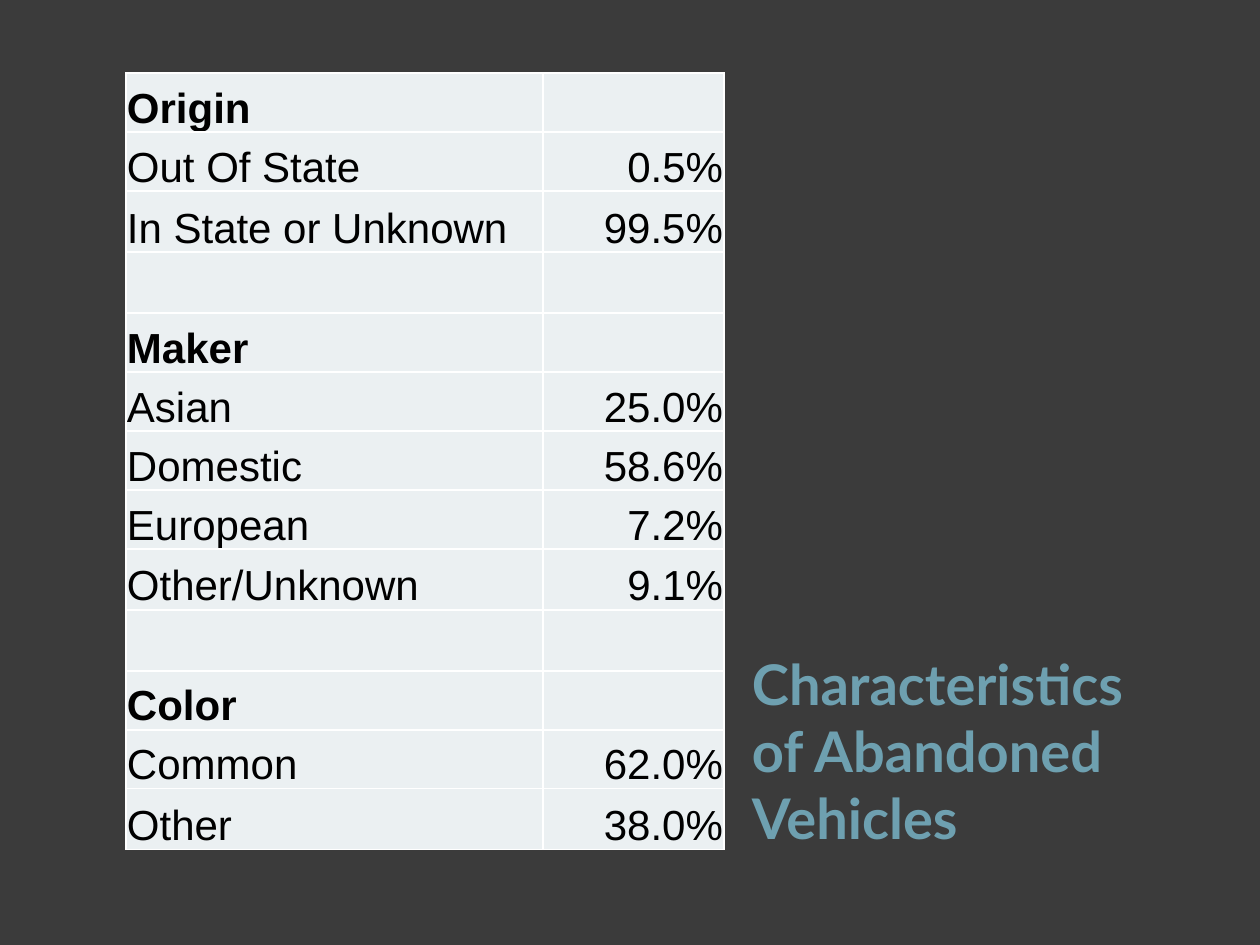
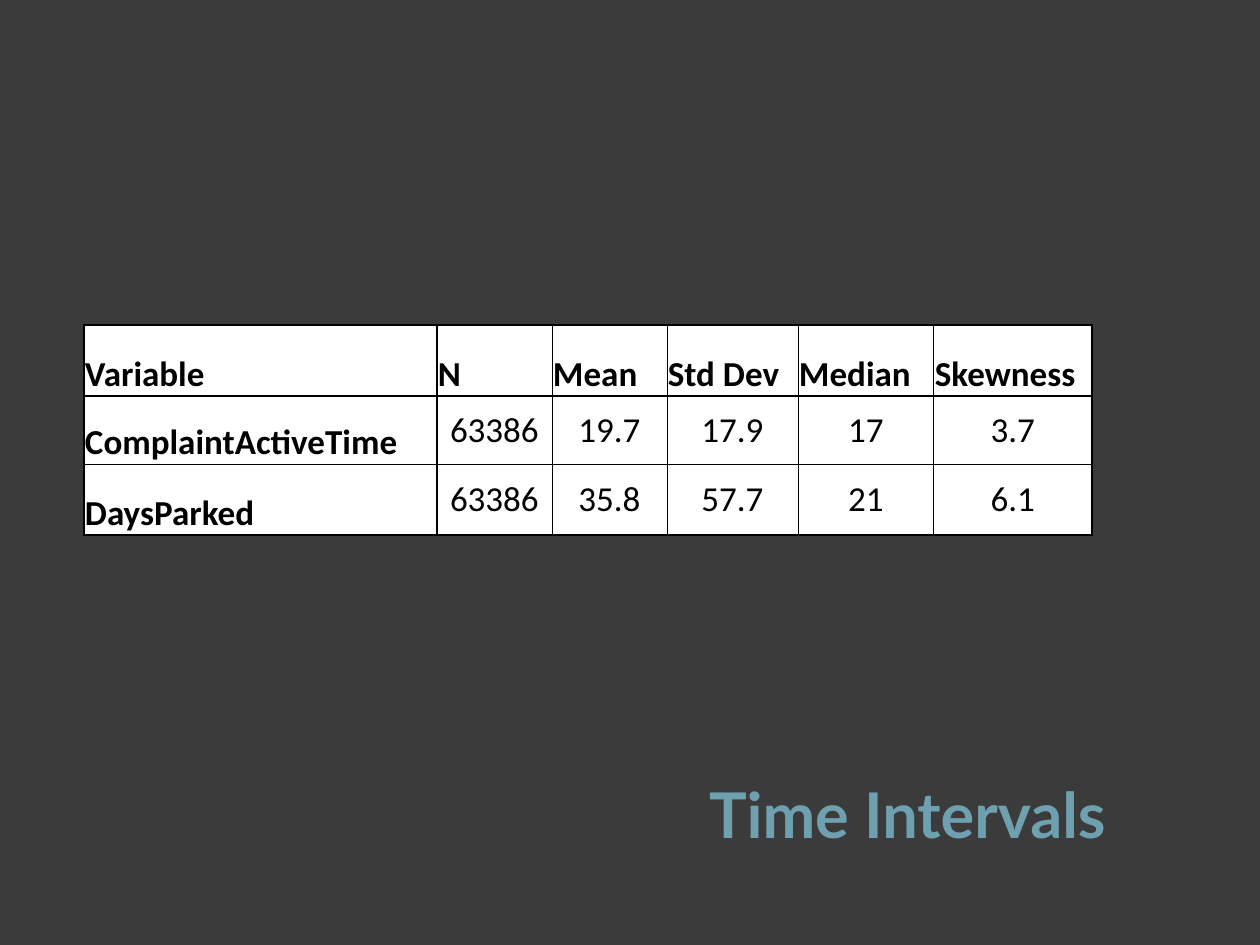
from lxml.etree import SubElement
from pptx import Presentation
from pptx.dml.color import RGBColor
from pptx.enum.text import MSO_ANCHOR, PP_ALIGN
from pptx.oxml.ns import qn
from pptx.util import Pt

EMU_PER_PX = 914400 / 126
COLORS = {
    "background": "3B3B3B",
    "title": "6EA0B0",
    "pale": "EBF0F2",
    "white": "FFFFFF",
    "black": "000000",
}
CHARACTERISTICS = {
    "Origin": [("Out Of State", "0.5%"), ("In State or Unknown", "99.5%")],
    "Maker": [
        ("Asian", "25.0%"),
        ("Domestic", "58.6%"),
        ("European", "7.2%"),
        ("Other/Unknown", "9.1%"),
    ],
    "Color": [("Common", "62.0%"), ("Other", "38.0%")],
}
INTERVALS = [
    ("Variable", "N", "Mean", "Std Dev", "Median", "Skewness"),
    ("ComplaintActiveTime", "63386", "19.7", "17.9", "17", "3.7"),
    ("DaysParked", "63386", "35.8", "57.7", "21", "6.1"),
]


def px(length):
    """Turn pixels into EMU."""
    return round(length * EMU_PER_PX)


def write_text(text_frame, text, font="Calibri", size=20, color="black",
               bold=False, align=PP_ALIGN.LEFT):
    """Write one formatted paragraph into a text frame."""
    paragraph = text_frame.paragraphs[0]
    paragraph.alignment = align
    run = paragraph.add_run()
    run.text = text
    run.font.name = font
    run.font.size = Pt(size)
    run.font.bold = bold
    run.font.color.rgb = RGBColor.from_string(COLORS[color])


def set_borders(cell, color, weights):
    """Draw the cell's sides with weights in points, keyed L, R, T and B."""
    properties = cell._tc.get_or_add_tcPr()
    for side, weight in weights.items():
        line = SubElement(properties, qn(f"a:ln{side}"), w=str(Pt(weight)))
        fill = SubElement(line, qn("a:solidFill"))
        SubElement(fill, qn("a:srgbClr"), val=COLORS[color])


class Deck:
    """Holds the shared style and the current slide."""

    def __init__(self):
        """Start an empty presentation."""
        self.presentation = Presentation()
        self.presentation.slide_width = px(1260)
        self.presentation.slide_height = px(945)
        self.slide = None

    def add_slide(self):
        """Start a blank slide on the dark background."""
        layout = self.presentation.slide_layouts[6]
        self.slide = self.presentation.slides.add_slide(layout)
        fill = self.slide.background.fill
        fill.solid()
        fill.fore_color.rgb = RGBColor.from_string(COLORS["background"])

    def add_title(self, text, left, size):
        """Add a title that stands on the shared base line."""
        box = self.slide.shapes.add_textbox(px(left), px(483), px(421), px(374))
        frame = box.text_frame
        frame.word_wrap = True
        frame.vertical_anchor = MSO_ANCHOR.BOTTOM
        frame.margin_left = frame.margin_right = px(6)
        frame.margin_top = frame.margin_bottom = px(6)
        write_text(frame, text, font="Lato", size=size, color="title", bold=True)

    def add_table(self, left, top, widths, heights, fill, border, inner_weight):
        """Add an empty table with a ruled header row and first column."""
        shape = self.slide.shapes.add_table(
            len(heights), len(widths), px(left), px(top),
            px(sum(widths)), px(sum(heights)))
        table = shape.table
        table.first_row = table.horz_banding = False
        for column, width in zip(table.columns, widths):
            column.width = px(width)
        last_row, last_column = len(heights) - 1, len(widths) - 1
        for i, height in enumerate(heights):
            table.rows[i].height = px(height)
            for j in range(len(widths)):
                cell = table.cell(i, j)
                outer = {"L": j <= 1, "R": j in (0, last_column),
                         "T": i <= 1, "B": i in (0, last_row)}
                set_borders(cell, border, {
                    side: 1 if strong else inner_weight
                    for side, strong in outer.items()})
                cell.fill.solid()
                cell.fill.fore_color.rgb = RGBColor.from_string(COLORS[fill])
                cell.margin_left = cell.margin_right = cell.margin_top = px(1)
                cell.margin_bottom = 0
                cell.vertical_anchor = MSO_ANCHOR.BOTTOM
        return table


def build_characteristics(deck):
    """Build the slide with shares by origin, maker and color."""
    rows, heights = [], []
    for heading, items in CHARACTERISTICS.items():
        if rows:
            rows.append(("", ""))
            heights.append(61)
        rows += [(heading, ""), *items]
        heights += [59] * len(items) + [61]
    deck.add_slide()
    deck.add_title("Characteristics of Abandoned Vehicles", 746, 32)
    table = deck.add_table(126, 73, [417, 181], heights, "pale", "white", 1)
    for i, (label, share) in enumerate(rows):
        if label:
            write_text(table.cell(i, 0).text_frame, label, font="Arial", size=24,
                       bold=label in CHARACTERISTICS)
        if share:
            write_text(table.cell(i, 1).text_frame, share, font="Arial", size=24,
                       align=PP_ALIGN.RIGHT)


def build_intervals(deck):
    """Build the slide with statistics of the time intervals."""
    deck.add_slide()
    deck.add_title("Time Intervals", 703, 36)
    table = deck.add_table(84, 325, [353, 115, 115, 131, 136, 158],
                           [71, 68, 71], "white", "black", 0.5)
    for i, row in enumerate(INTERVALS):
        for j, text in enumerate(row):
            cell = table.cell(i, j)
            is_label = i == 0 or j == 0
            if not is_label:
                cell.vertical_anchor = MSO_ANCHOR.MIDDLE
            write_text(cell.text_frame, text, bold=is_label,
                       align=PP_ALIGN.LEFT if is_label else PP_ALIGN.CENTER)


def main():
    """Build and save both slides."""
    deck = Deck()
    build_characteristics(deck)
    build_intervals(deck)
    deck.presentation.save("out.pptx")


if __name__ == "__main__":
    main()
